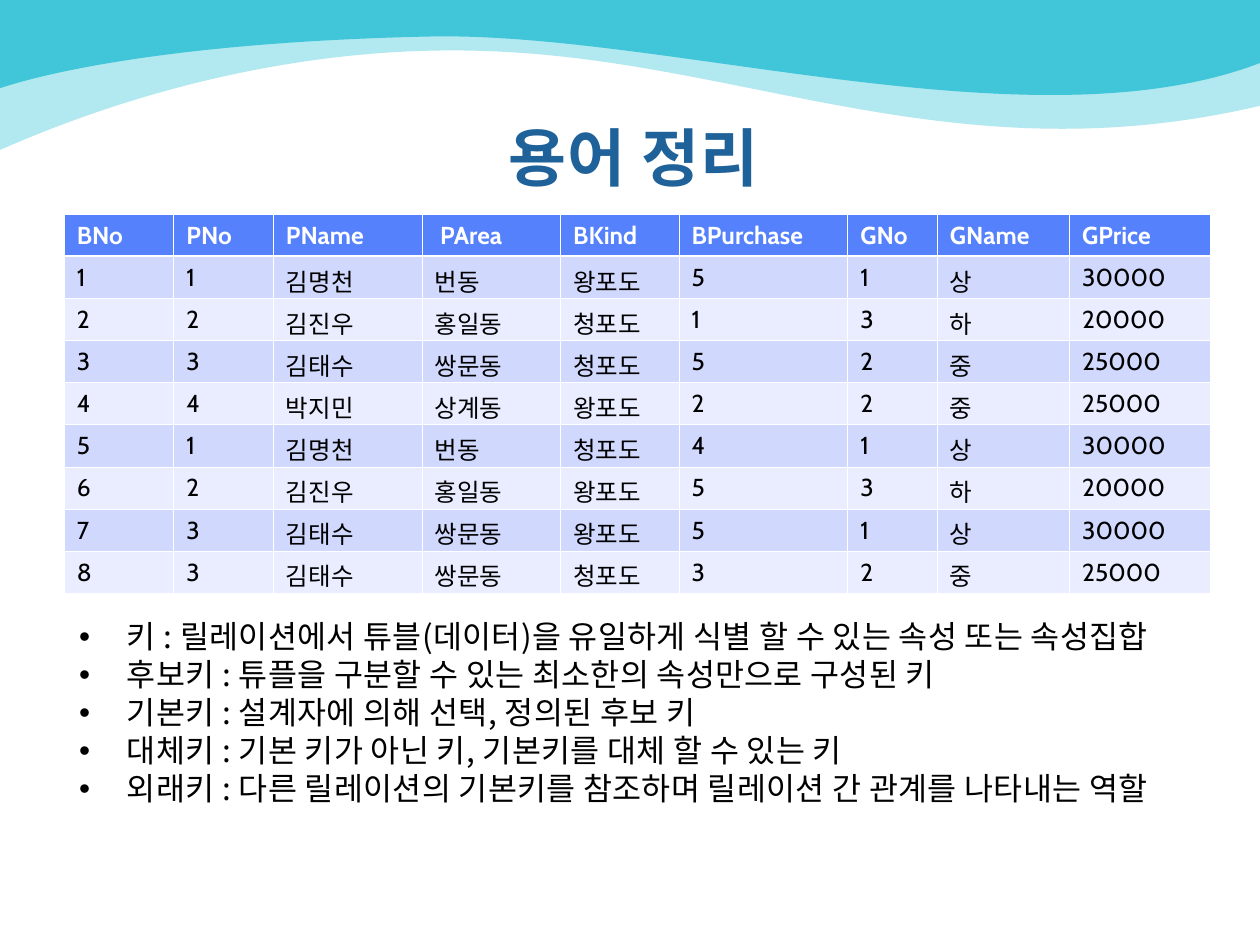
from lxml import etree
from pptx import Presentation
from pptx.dml.color import RGBColor
from pptx.enum.text import MSO_ANCHOR, PP_ALIGN
from pptx.oxml.ns import qn
from pptx.util import Inches, Pt

TOP = MSO_ANCHOR.TOP
LEFT, CENTER = PP_ALIGN.LEFT, PP_ALIGN.CENTER

THEME = {
    "latin": "Cabin", "korean": "Noto Sans CJK KR",
    "title": "1F6299", "text": "000000", "white": "FFFFFF", "wave": "40C6D8",
    "header": "5581FD", "bands": ("D1D8FE", "E9EDFF"),
    "title_size": 36, "body_size": 18, "table_size": 14,
    "thin": 0.45, "thick": 1.47,
}

TITLE = "용어 정리"
HEADERS = ["BNo", "PNo", "PName", " PArea", "BKind", "BPurchase", "GNo", "GName", "GPrice"]
PURCHASES = [
    ("1", "1", "김명천", "번동", "왕포도", "5", "1", "상", "30000"),
    ("2", "2", "김진우", "홍일동", "청포도", "1", "3", "하", "20000"),
    ("3", "3", "김태수", "쌍문동", "청포도", "5", "2", "중", "25000"),
    ("4", "4", "박지민", "상계동", "왕포도", "2", "2", "중", "25000"),
    ("5", "1", "김명천", "번동", "청포도", "4", "1", "상", "30000"),
    ("6", "2", "김진우", "홍일동", "왕포도", "5", "3", "하", "20000"),
    ("7", "3", "김태수", "쌍문동", "왕포도", "5", "1", "상", "30000"),
    ("8", "3", "김태수", "쌍문동", "청포도", "3", "2", "중", "25000"),
]
COLUMN_WIDTHS = [0.87, 0.79, 1.18, 1.1, 0.94, 1.34, 0.71, 1.05, 1.12]
KEY_TERMS = [
    "키 : 릴레이션에서 튜블(데이터)을 유일하게 식별 할 수 있는 속성 또는 속성집합",
    "후보키 : 튜플을 구분할 수 있는 최소한의 속성만으로 구성된 키",
    "기본키 : 설계자에 의해 선택, 정의된 후보 키",
    "대체키 : 기본 키가 아닌 키, 기본키를 대체 할 수 있는 키",
    "외래키 : 다른 릴레이션의 기본키를 참조하며 릴레이션 간 관계를 나타내는 역할",
]
WAVES = [
    {"opacity": 40, "curves": [
        ((0, 0.47), (0, 0.73), (0, 1.19)),
        ((0.33, 1.05), (1.97, 0.31), (3.96, 0.41)),
        ((5.95, 0.5), (7.62, 1.4), (10, 0.84)),
        ((10, 0.56), (10, 0.28), (10.01, 0))]},
    {"opacity": 100, "curves": [
        ((0, 0.28), (0, 0.41), (0, 0.7)),
        ((0.45, 0.55), (1.53, 0.33), (3.41, 0.29)),
        ((5.29, 0.25), (8.2, 1.19), (10, 0.5)),
        ((10, 0.33), (10, 0.17), (10, 0))]},
]
UNITS_PER_INCH = 100


def write(frame, lines, size, color, font=THEME["latin"], bold=False,
          align=LEFT, spacing=None, tracking=0, bullet=False):
    frame.word_wrap = True
    for index, line in enumerate(lines):
        paragraph = frame.paragraphs[0] if index == 0 else frame.add_paragraph()
        paragraph.alignment = align
        if spacing:
            paragraph.line_spacing = Pt(spacing)
        if bullet:
            properties = paragraph._p.get_or_add_pPr()
            properties.set("marL", str(Inches(0.38)))
            properties.set("indent", str(-Inches(0.38)))
            etree.SubElement(properties, qn("a:buFont")).set("typeface", "Arial")
            etree.SubElement(properties, qn("a:buChar")).set("char", "•")
        run = paragraph.add_run()
        run.text = line
        run.font.size = Pt(size)
        run.font.bold = bold
        run.font.color.rgb = RGBColor.from_string(color)
        run.font.name = font
        run_properties = run._r.get_or_add_rPr()
        if tracking:
            run_properties.set("spc", str(round(tracking * 100)))
        east_asian = etree.SubElement(run_properties, qn("a:ea"))
        east_asian.set("typeface", THEME["korean"])


def add_wave(slide, layer, curves, opacity):
    points = [(round(x * UNITS_PER_INCH), round(y * UNITS_PER_INCH))
              for curve in curves for x, y in curve]
    builder = slide.shapes.build_freeform(0, 0, scale=Inches(1) / UNITS_PER_INCH)
    builder.add_line_segments(points, close=True)
    wave = builder.convert_to_shape()
    segments = list(wave._element.iter(qn("a:lnTo")))[:len(points)]
    for first in range(0, len(points), 3):
        bezier = etree.Element(qn("a:cubicBezTo"))
        segments[first].addprevious(bezier)
        for segment in segments[first:first + 3]:
            bezier.append(segment[0])
            segment.getparent().remove(segment)
    wave.shadow.inherit = False
    wave.line.fill.background()
    wave.fill.solid()
    wave.fill.fore_color.rgb = RGBColor.from_string(THEME["wave"])
    if opacity < 100:
        color = wave._element.spPr.find(".//" + qn("a:srgbClr"))
        etree.SubElement(color, qn("a:alpha")).set("val", str(opacity * 1000))
    slide.shapes._spTree.insert(2 + layer, wave._element)


def set_borders(cell, **widths):
    properties = cell._tc.get_or_add_tcPr()
    for index, (side, width) in enumerate(widths.items()):
        line = etree.Element(qn("a:ln" + side), w=str(Pt(width)))
        fill = etree.SubElement(line, qn("a:solidFill"))
        etree.SubElement(fill, qn("a:srgbClr")).set("val", THEME["white"])
        properties.insert(index, line)


def add_purchases(slide):
    rows = [HEADERS, *PURCHASES]
    table = slide.shapes.add_table(len(rows), len(HEADERS), Inches(0.51), Inches(1.7),
                                   Inches(9.1), Inches(3.01)).table
    for column, width in zip(table.columns, COLUMN_WIDTHS):
        column.width = Inches(width)
    thin, thick = THEME["thin"], THEME["thick"]
    for r, values in enumerate(rows):
        header = r == 0
        fill = THEME["header"] if header else THEME["bands"][(r - 1) % 2]
        for c, value in enumerate(values):
            cell = table.cell(r, c)
            cell.margin_bottom = 0
            cell.fill.solid()
            cell.fill.fore_color.rgb = RGBColor.from_string(fill)
            write(cell.text_frame, [value], THEME["table_size"],
                  THEME["white"] if header else THEME["text"], bold=header)
            set_borders(cell, L=thin, R=thin, T=thick if r == 1 else thin,
                        B=thick if header else thin)


def main():
    deck = Presentation()
    deck.slide_width, deck.slide_height = Inches(10), Inches(7.5)
    slide = deck.slides.add_slide(deck.slide_layouts[5])

    for layer, wave in enumerate(WAVES):
        add_wave(slide, layer, **wave)

    title = slide.shapes.title
    title.left, title.top, title.width, title.height = map(Inches, (0.53, 0.89, 9, 1.25))
    title.text_frame.vertical_anchor = TOP
    write(title.text_frame, [TITLE], THEME["title_size"], THEME["title"],
          bold=True, align=CENTER, spacing=43, tracking=0.7)

    terms = slide.shapes.add_textbox(*map(Inches, (0.53, 4.85, 8.8, 2.2)))
    terms.text_frame.margin_right = Inches(0.2)
    write(terms.text_frame, KEY_TERMS, THEME["body_size"], THEME["text"],
          font=THEME["korean"], spacing=21.7, tracking=0.2, bullet=True)

    add_purchases(slide)
    deck.save("out.pptx")


if __name__ == "__main__":
    main()
